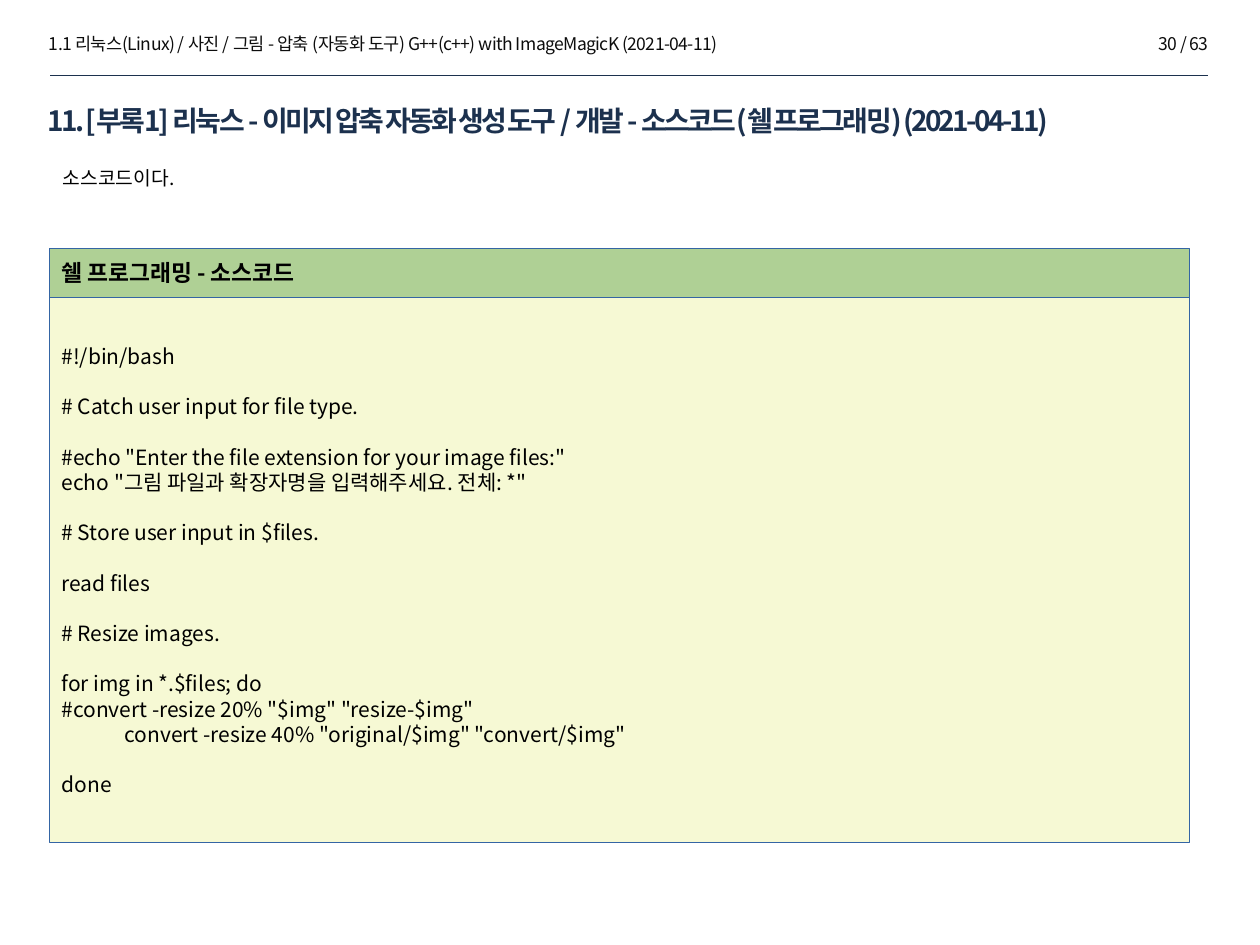
from lxml import etree
from pptx import Presentation
from pptx.dml.color import RGBColor
from pptx.enum.shapes import MSO_CONNECTOR, MSO_SHAPE
from pptx.enum.text import MSO_ANCHOR, PP_ALIGN
from pptx.oxml.ns import qn
from pptx.util import Inches, Pt

LEFT, RIGHT = PP_ALIGN.LEFT, PP_ALIGN.RIGHT
TOP, MIDDLE = MSO_ANCHOR.TOP, MSO_ANCHOR.MIDDLE
RECTANGLE = MSO_SHAPE.RECTANGLE
STRAIGHT = MSO_CONNECTOR.STRAIGHT

FONT = "Noto Sans CJK KR"
NAVY, INK, BLACK = "1C314E", "0D0D0D", "000000"
GREEN, CREAM, BORDER = "AFD095", "F6F9D4", "3465A4"
CODE_PITCH = 14.4

CODE_BLOCKS = [
    ["#!/bin/bash"],
    ["# Catch user input for file type."],
    ['#echo "Enter the file extension for your image files:"',
     'echo "그림 파일과 확장자명을 입력해주세요. 전체: *"'],
    ["# Store user input in $files."],
    ["read files"],
    ["# Resize images."],
    ["for img in *.$files; do",
     '#convert -resize 20% "$img" "resize-$img"',
     '\tconvert -resize 40% "original/$img" "convert/$img"'],
    ["done"],
]


def color(value):
    return RGBColor.from_string(value)


def write(paragraph, text, size, fill=BLACK, bold=False, align=LEFT, tracking=0):
    paragraph.alignment = align
    run = paragraph.add_run()
    run.text = text
    run.font.size = Pt(size)
    run.font.name = FONT
    run.font.bold = bold
    run.font.color.rgb = color(fill)
    properties = run.font._element
    etree.SubElement(properties, qn("a:ea")).set("typeface", FONT)
    if tracking:
        properties.set("spc", str(round(tracking * 100)))


def add_label(slide, box, text, anchor=TOP, **text_format):
    frame = slide.shapes.add_textbox(*map(Inches, box)).text_frame
    frame.word_wrap = True
    frame.vertical_anchor = anchor
    write(frame.paragraphs[0], text, **text_format)


def add_panel(slide, box, fill):
    panel = slide.shapes.add_shape(RECTANGLE, *map(Inches, box))
    panel.shadow.inherit = False
    panel.fill.solid()
    panel.fill.fore_color.rgb = color(fill)
    panel.line.color.rgb = color(BORDER)
    panel.line.width = Pt(0)
    panel.text_frame.word_wrap = True
    panel.text_frame.vertical_anchor = MIDDLE
    return panel.text_frame


def add_header(slide, left, top, width, height):
    page_width = 1.73
    header_format = dict(size=10, fill=INK, tracking=-0.3)
    add_label(slide, (left, top, 8.68, height),
              "1.1 리눅스(Linux) / 사진 / 그림 - 압축 (자동화 도구) "
              "G++(c++) with ImageMagicK (2021-04-11)", **header_format)
    add_label(slide, (left + width - page_width, top, page_width, height),
              "30 / 63", align=RIGHT, **header_format)
    rule_y = Inches(0.6)
    rule = slide.shapes.add_connector(
        STRAIGHT, Inches(left + 0.11), rule_y, Inches(left + width - 0.1), rule_y)
    rule.line.color.rgb = color(NAVY)
    rule.line.width = Pt(0.25)
    etree.SubElement(rule._element.spPr, qn("a:effectLst"))


def add_introduction(slide, left, top, width):
    add_label(slide, (left, top, width, 0.63),
              "11. [부록1] 리눅스 - 이미지 압축 자동화 생성 도구 / 개발 - "
              "소스코드(쉘 프로그래밍) (2021-04-11)",
              size=16, fill=NAVY, bold=True, tracking=-1.5)
    add_label(slide, (left + 0.12, top + 0.49, width - 0.05, 0.31),
              "소스코드이다.", anchor=MIDDLE, size=11)


def add_source_code(slide, left, top, width, height):
    heading_height = 0.39
    heading = add_panel(slide, (left, top, width, heading_height), GREEN)
    write(heading.paragraphs[0], "쉘 프로그래밍 - 소스코드", size=13, bold=True)

    code = add_panel(
        slide, (left, top + heading_height, width, height - heading_height), CREAM)
    for block_index, block in enumerate(CODE_BLOCKS):
        for line_index, code_line in enumerate(block):
            first = block_index == line_index == 0
            paragraph = code.paragraphs[0] if first else code.add_paragraph()
            paragraph.line_spacing = Pt(CODE_PITCH)
            if block_index and line_index == 0:
                paragraph.space_before = Pt(CODE_PITCH)
            write(paragraph, code_line, size=12)


def main():
    presentation = Presentation()
    presentation.slide_width = Inches(10)
    presentation.slide_height = Inches(7.5)
    slide = presentation.slides.add_slide(presentation.slide_layouts[6])
    add_header(slide, 0.29, 0.21, 9.4, 0.26)
    add_introduction(slide, 0.28, 0.77, 9.31)
    add_source_code(slide, 0.39, 1.97, 9.05, 4.72)
    presentation.save("out.pptx")


if __name__ == "__main__":
    main()
